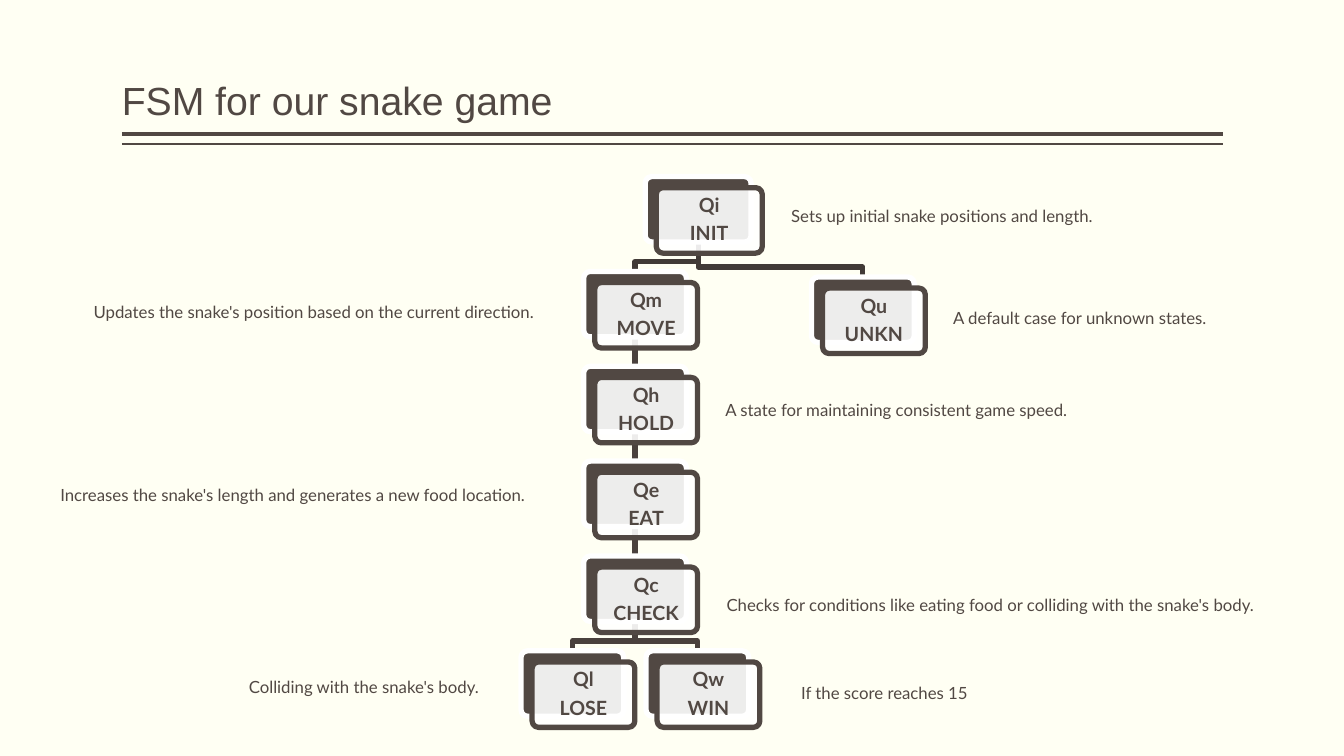
from lxml import etree
from pptx import Presentation
from pptx.dml.color import RGBColor
from pptx.enum.shapes import MSO_CONNECTOR as Connector, MSO_SHAPE as Shape
from pptx.enum.text import MSO_ANCHOR as Anchor, PP_ALIGN as Align
from pptx.oxml.ns import qn
from pptx.util import Cm, Pt

IVORY = RGBColor(0xFF, 0xFF, 0xF3)
WHITE = RGBColor(0xFF, 0xFF, 0xFF)
BROWN = RGBColor(0x51, 0x48, 0x43)
DARK_BROWN = RGBColor(0x41, 0x3A, 0x36)
MID_BROWN = RGBColor(0x4A, 0x41, 0x3D)

BORDER = Pt(3.78)
NODE_WIDTH, NODE_HEIGHT = 2.59, 1.65
CARD_OFFSET = 0.28
BEND_GAP = 0.25
ROWS = [4.45 + 2.39 * level for level in range(6)]

deck = Presentation()
deck.slide_width, deck.slide_height = Cm(33.87), Cm(19.05)
page = deck.slides.add_slide(deck.slide_layouts[6])
page.background.fill.solid()
page.background.fill.fore_color.rgb = IVORY


def add_line(start, end, color, width):
    line = page.shapes.add_connector(
        Connector.STRAIGHT, *[Cm(value) for value in (*start, *end)]
    )
    line.line.color.rgb = color
    line.line.width = width
    etree.SubElement(line._element.spPr, qn("a:effectLst"))


def add_text(left, top, width, height, text, font, size):
    box = page.shapes.add_textbox(Cm(left), Cm(top), Cm(width), Cm(height))
    frame = box.text_frame
    frame.word_wrap = True
    frame.text = text
    span = frame.paragraphs[0].runs[0]
    span.font.name, span.font.size = font, Pt(size)
    span.font.color.rgb = BROWN
    return frame


for rule_top, rule_width in ((3.38, 3), (3.63, 1)):
    add_line((3.07, rule_top), (30.81, rule_top), BROWN, Pt(rule_width))

title = add_text(3.07, 0.2, 27.74, 3.05, "FSM for our snake game", "Arial", 28)
title.vertical_anchor = Anchor.BOTTOM
title.margin_left = title.margin_right = 0
title.paragraphs[0].line_spacing = 0.9

states = {
    "INIT": ("Qi", 16.26, ROWS[0], 2.67),
    "MOVE": ("Qm", 14.71, ROWS[1], NODE_WIDTH),
    "HOLD": ("Qh", 14.71, ROWS[2], NODE_WIDTH),
    "EAT": ("Qe", 14.71, ROWS[3], NODE_WIDTH),
    "CHECK": ("Qc", 14.71, ROWS[4], NODE_WIDTH),
    "LOSE": ("Ql", 13.13, ROWS[5], NODE_WIDTH),
    "WIN": ("Qw", 16.28, ROWS[5], NODE_WIDTH),
    "UNKN": ("Qu", 20.45, 6.98, NODE_WIDTH),
}

transitions = [
    ("INIT", "UNKN", DARK_BROWN),
    ("CHECK", "WIN", MID_BROWN),
    ("CHECK", "LOSE", MID_BROWN),
    ("EAT", "CHECK", MID_BROWN),
    ("HOLD", "EAT", MID_BROWN),
    ("MOVE", "HOLD", MID_BROWN),
    ("INIT", "MOVE", DARK_BROWN),
]

for parent, child, color in transitions:
    _, parent_left, parent_top, parent_width = states[parent]
    _, child_left, child_top, child_width = states[child]
    start_x, start_y = parent_left + parent_width / 2, parent_top + NODE_HEIGHT
    end_x = child_left + child_width / 2
    if start_x == end_x:
        add_line((start_x, start_y), (end_x, child_top), color, BORDER)
        continue
    bend_y = child_top - BEND_GAP
    corners = [(start_x, bend_y), (end_x, bend_y), (end_x, child_top)]
    builder = page.shapes.build_freeform(Cm(start_x), Cm(start_y))
    builder.add_line_segments([(Cm(x), Cm(y)) for x, y in corners], close=False)
    branch = builder.convert_to_shape()
    branch.shadow.inherit = False
    branch.fill.background()
    branch.line.color.rgb = color
    branch.line.width = BORDER

for name, (code, left, top, width) in states.items():
    for offset, fill, border in ((0, BROWN, WHITE), (CARD_OFFSET, WHITE, BROWN)):
        card = page.shapes.add_shape(
            Shape.ROUNDED_RECTANGLE,
            Cm(left + offset), Cm(top + offset), Cm(width), Cm(NODE_HEIGHT),
        )
        card.adjustments[0] = 0.1
        card.shadow.inherit = False
        card.fill.solid()
        card.fill.fore_color.rgb = fill
        card.line.color.rgb = border
        card.line.width = BORDER
    tint = card._element.spPr.find(qn("a:solidFill"))[0]
    etree.SubElement(tint, qn("a:alpha"), val="90000")
    frame = card.text_frame
    frame.word_wrap = True
    frame.vertical_anchor = Anchor.MIDDLE
    frame.margin_left = frame.margin_right = Cm(0.2)
    frame.margin_top = frame.margin_bottom = Cm(0.2)
    frame.text = f"{code}\n{name}"
    for para in frame.paragraphs:
        para.alignment = Align.CENTER
        para.line_spacing = 0.9
        para.space_after = Pt(4.9)
        font = para.runs[0].font
        font.name, font.size, font.bold = "Lato", Pt(14), True
        font.color.rgb = BROWN

notes = [
    (19.94, 17.09, 5.11, "If the score reaches 15"),
    (6.02, 16.94, 6.88, "Colliding with the snake's body."),
    (19.69, 5.05, 9.8, "Sets up initial snake positions and length."),
    (23.77, 7.62, 7.8, "A default case for unknown states."),
    (18.03, 9.96, 10.21, "A state for maintaining consistent game speed."),
    (1.27, 12.09, 13.23, "Increases the snake's length and generates a new food location."),
    (18.06, 14.86, 14.5, "Checks for conditions like eating food or colliding with the snake's body."),
]
for left, top, width, text in notes:
    add_text(left, top, width, 0.77, text, "Lato", 12)

move_note = add_text(
    0.84, 7.44, 13.69, 0.77,
    "Updates the snake's position based on the current direction.", "Lato", 12,
)
para = move_note.paragraphs[0]
para.alignment = Align.JUSTIFY
para.line_spacing = 1.07
para.space_after = Pt(8)
para._p.get_or_add_pPr().set("marL", str(Cm(1.27)))

deck.save("out.pptx")
